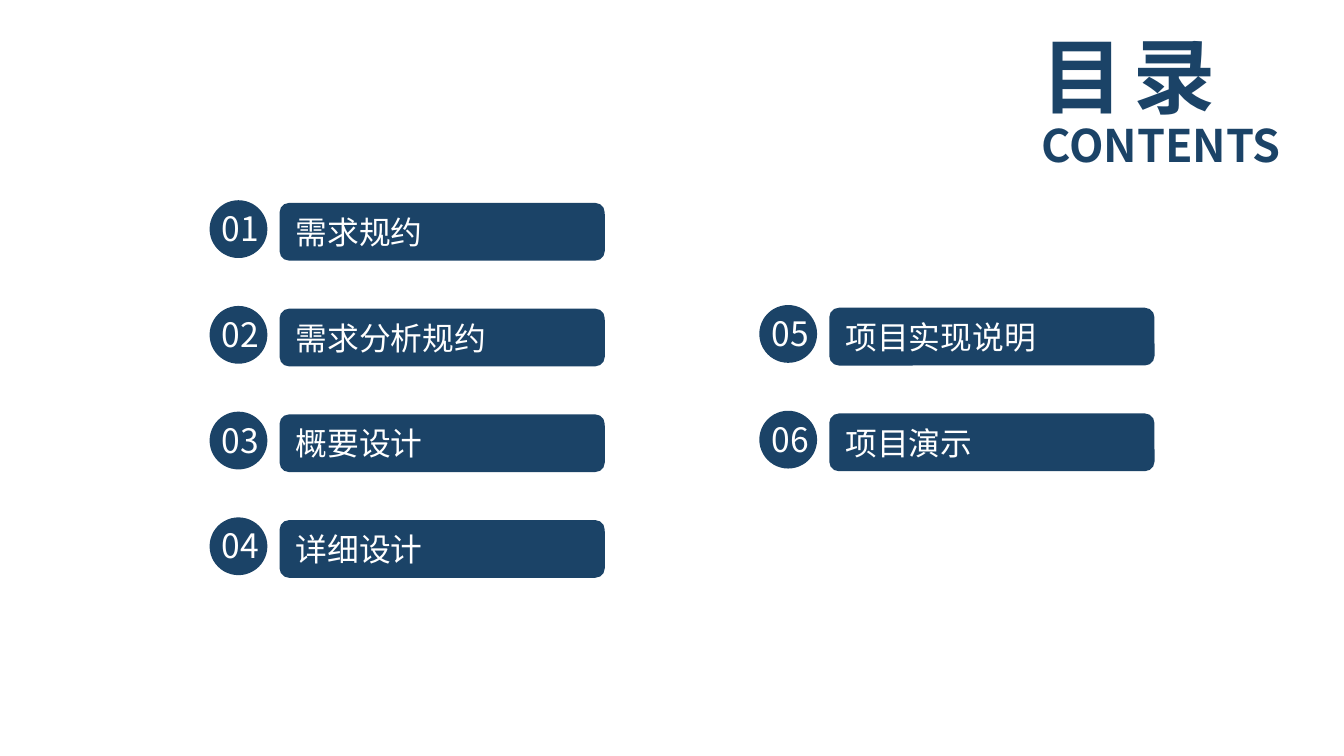
from lxml.etree import SubElement
from pptx import Presentation
from pptx.dml.color import RGBColor
from pptx.enum.shapes import MSO_SHAPE
from pptx.enum.text import MSO_ANCHOR, PP_ALIGN
from pptx.oxml.ns import qn
from pptx.util import Inches, Pt

COLORS = {"navy": "1B4367", "white": "FFFFFF"}
FONT = "Noto Sans CJK SC"
ROW_STEP = 2.36 / 3
BADGE_SIZE = 0.43

# Left edge of the badges, top of the first badge, first number, entries
COLUMNS = [
    (1.56, 1.49, 1, ["需求规约", "需求分析规约", "概要设计", "详细设计"]),
    (5.65, 2.27, 5, ["项目实现说明", "项目演示"]),
]


def write(shape, text, size, color, bold=False, align=PP_ALIGN.LEFT, spacing=0):
    """Put one line of text in a shape, with spacing in points between letters."""
    frame = shape.text_frame
    frame.word_wrap = True
    paragraph = frame.paragraphs[0]
    paragraph.text = text
    paragraph.alignment = align
    font = paragraph.font
    font.name, font.size, font.bold = FONT, Pt(size), bold
    font.color.rgb = RGBColor.from_string(COLORS[color])
    properties = font._element
    SubElement(properties, qn("a:ea")).set("typeface", FONT)
    if spacing:
        properties.set("spc", str(round(spacing * 100)))


def add_navy_shape(shapes, preset, left, top, width, height):
    shape = shapes.add_shape(preset, Inches(left), Inches(top), Inches(width), Inches(height))
    shape.shadow.inherit = False
    shape.fill.solid()
    shape.fill.fore_color.rgb = RGBColor.from_string(COLORS["navy"])
    shape.line.fill.background()
    return shape


prs = Presentation()
prs.slide_width = Inches(10)
prs.slide_height = Inches(10 * 9 / 16)
slide = prs.slides.add_slide(prs.slide_layouts[6])

heading = slide.shapes.add_textbox(Inches(7.65), Inches(0.14), Inches(2.35), Inches(0.84))
write(heading, "目 录", 44, "navy", bold=True, spacing=-2.2)
subheading = slide.shapes.add_textbox(Inches(7.65), Inches(0.83), Inches(2.31), Inches(0.5))
write(subheading, "CONTENTS", 24, "navy", bold=True)

for left, first_top, first_number, entries in COLUMNS:
    for row, entry in enumerate(entries):
        top = first_top + row * ROW_STEP

        bar = add_navy_shape(slide.shapes, MSO_SHAPE.ROUNDED_RECTANGLE,
                             left + 0.52, top + 0.02, 2.42, 0.43)
        bar.text_frame.vertical_anchor = MSO_ANCHOR.MIDDLE
        write(bar, entry, 17, "white")

        badge = slide.shapes.add_group_shape()
        add_navy_shape(badge.shapes, MSO_SHAPE.OVAL, left, top, BADGE_SIZE, BADGE_SIZE)
        number = badge.shapes.add_textbox(Inches(left - 0.03), Inches(top + 0.01),
                                          Inches(0.52), Inches(0.4))
        write(number, f"{first_number + row:02}", 18, "white", align=PP_ALIGN.CENTER)

prs.save("out.pptx")
